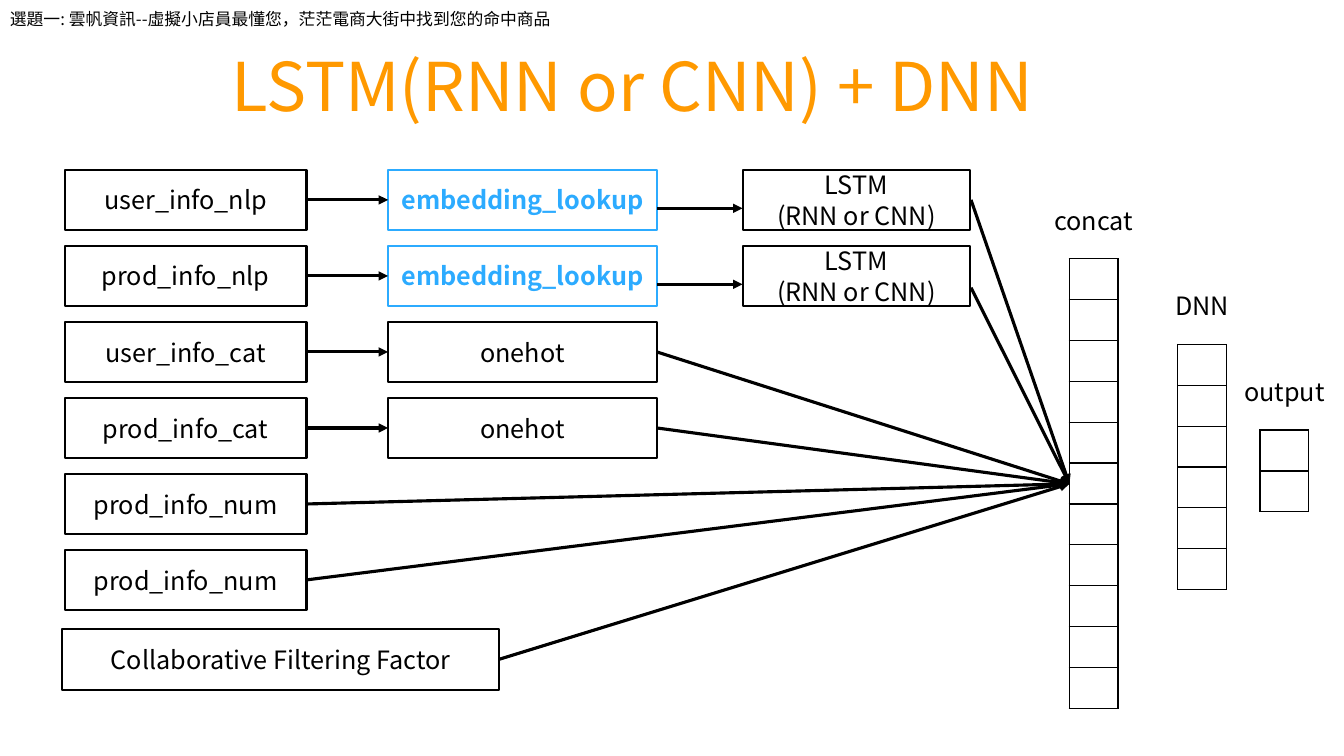
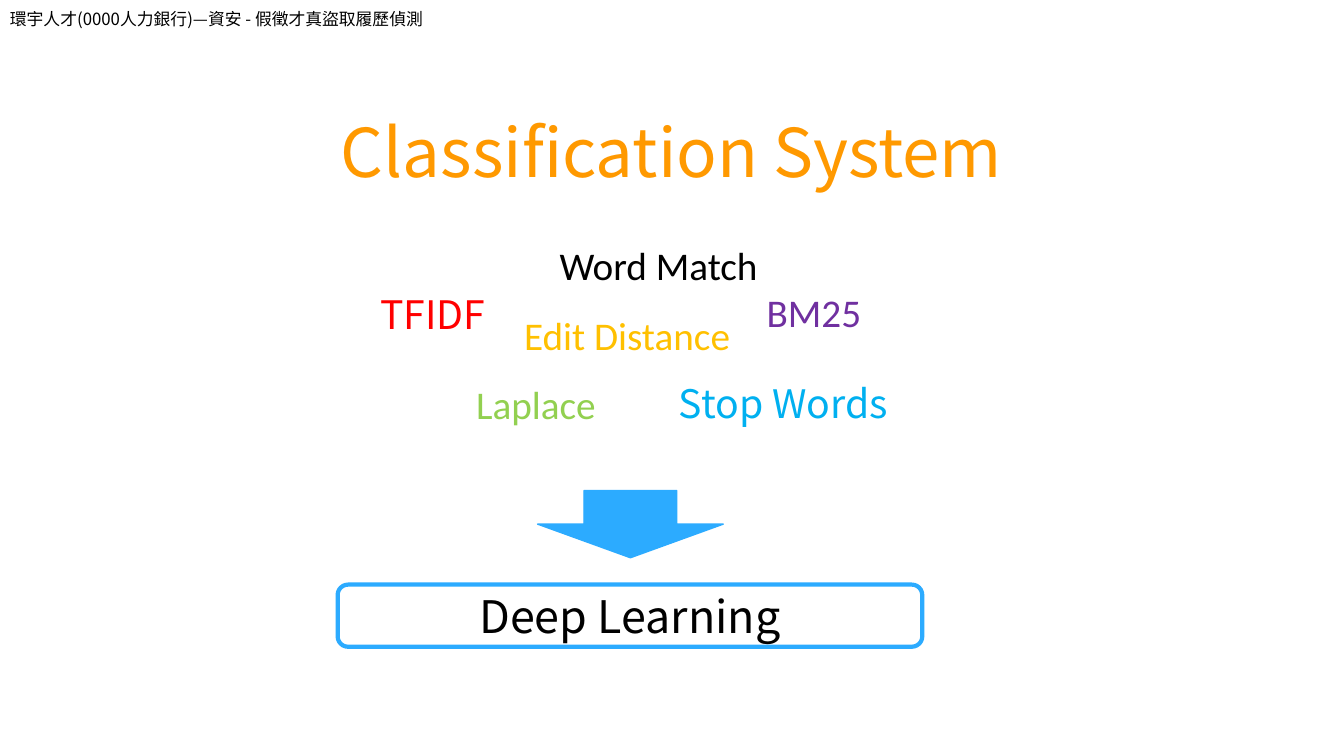
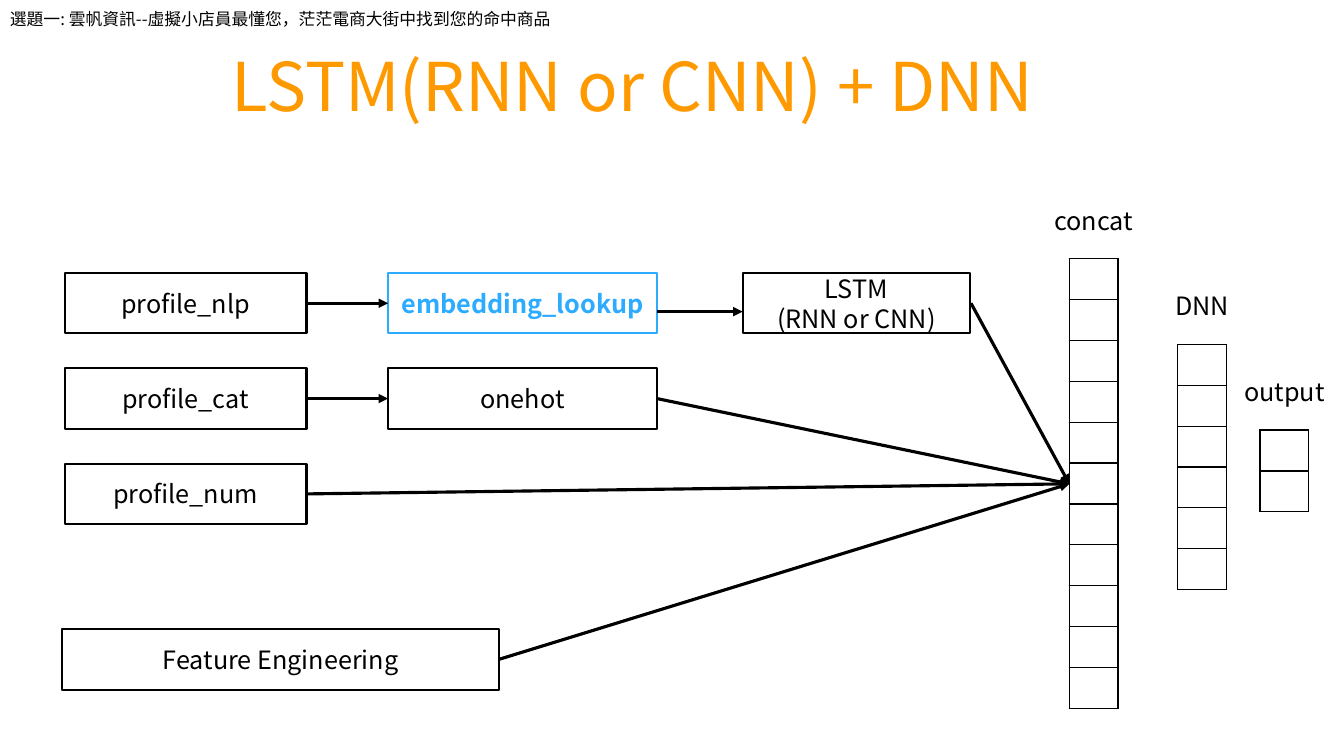
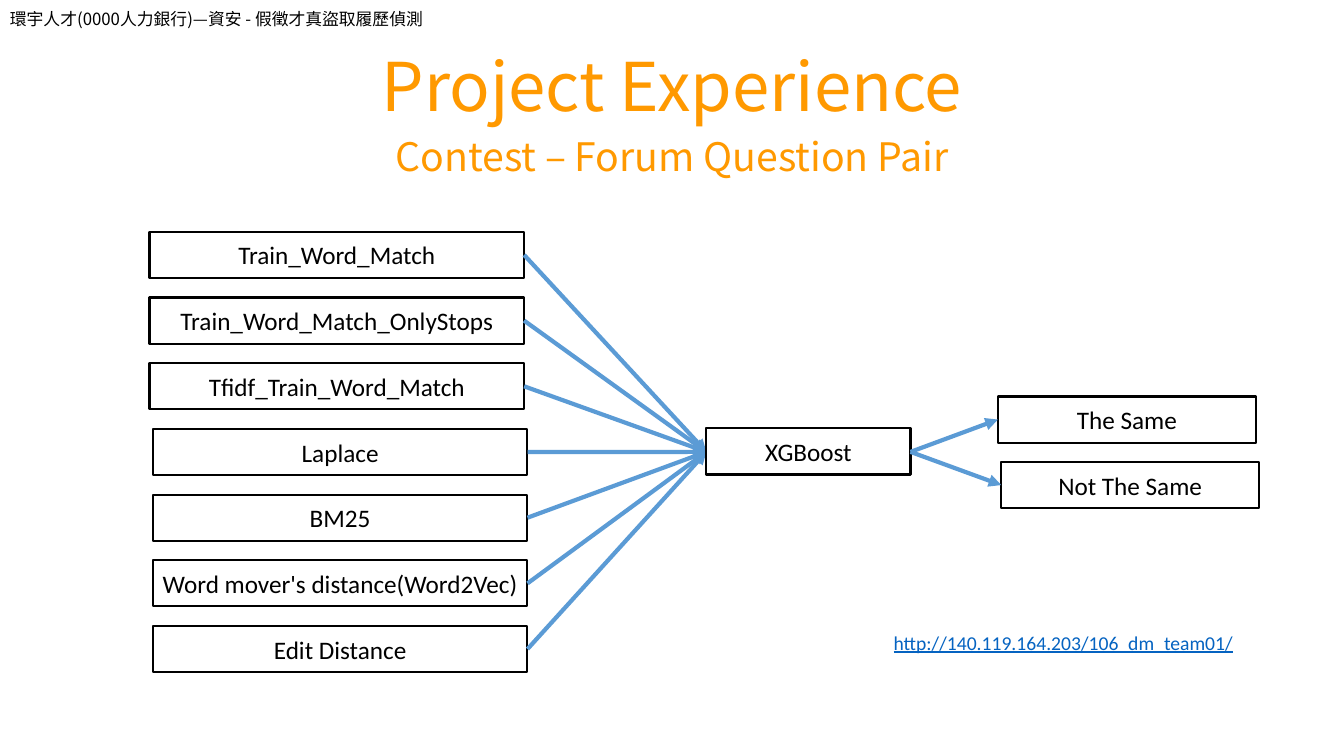
"""Build four slides on text models, laid out on a grid of 160 columns by 90 rows."""
from lxml import etree
from pptx import Presentation
from pptx.dml.color import RGBColor
from pptx.enum.shapes import MSO_CONNECTOR, MSO_SHAPE
from pptx.enum.text import MSO_ANCHOR, PP_ALIGN
from pptx.oxml.ns import qn
from pptx.util import Inches, Pt

RECT, ROUND, DOWN = MSO_SHAPE.RECTANGLE, MSO_SHAPE.ROUNDED_RECTANGLE, MSO_SHAPE.DOWN_ARROW
LINE = MSO_CONNECTOR.STRAIGHT
LEFT, MID = PP_ALIGN.LEFT, PP_ALIGN.CENTER
TOP, CORE = MSO_ANCHOR.TOP, MSO_ANCHOR.MIDDLE
SANS, CALI = "Noto Sans CJK SC", "Calibri"

HUES = {
    "ink": "000000", "gold": "FF9900", "sky": "2CABFF", "steel": "5B9BD5",
    "red": "FF0000", "lime": "92D050", "aqua": "00B0F0", "plum": "7030A0",
    "amber": "FFC000", "link": "0563C1",
}
INK = {name: RGBColor.from_string(code) for name, code in HUES.items()}

deck = Presentation()
deck.slide_width, deck.slide_height = Inches(13.33), Inches(7.5)
COL, ROW = deck.slide_width / 160, deck.slide_height / 90

FLUSH = {"word_wrap": True, "vertical_anchor": CORE, "margin_left": 0, "margin_right": 0}
INSET = {"word_wrap": True, "vertical_anchor": CORE}
HIGH = {"word_wrap": True, "vertical_anchor": TOP}
BIG = {"size": Pt(48), "name": SANS}
LOOKS = {
    "head": (HIGH, {"alignment": LEFT}, {"size": Pt(12), "name": SANS}),
    "title": (INSET, {"alignment": LEFT, "line_spacing": 0.9}, BIG),
    "mid": (INSET, {"alignment": MID, "line_spacing": 0.9}, BIG),
    "sub": (INSET, {"alignment": MID, "line_spacing": 0.9}, {"size": Pt(28), "name": SANS}),
    "high": (HIGH, {"alignment": LEFT}, BIG),
    "node": (FLUSH, {"alignment": MID}, {"size": Pt(18), "name": SANS}),
    "bold": (FLUSH, {"alignment": MID}, {"size": Pt(18), "name": SANS, "bold": True}),
    "item": (FLUSH, {"alignment": MID}, {"size": Pt(18), "name": CALI}),
    "word": (FLUSH, {"alignment": MID}, {"size": Pt(28), "name": CALI}),
    "term": (FLUSH, {"alignment": MID}, {"size": Pt(28), "name": SANS}),
    "goal": (FLUSH, {"alignment": MID}, {"size": Pt(32), "name": SANS}),
    "url": (HIGH, {"alignment": LEFT}, {"size": Pt(14), "name": CALI, "underline": True}),
}


def box(page, kind, at, text, look, hue="ink", edge=None, wide=1.5, fill=None):
    """Add a shape, or a text box when kind is None, with styled text."""
    x, y, w, h = at
    area = int(x * COL), int(y * ROW), int(w * COL), int(h * ROW)
    part = page.shapes.add_textbox(*area) if kind is None else page.shapes.add_shape(kind, *area)
    part.shadow.inherit = False
    part.fill.background()
    part.line.fill.background()
    if fill:
        part.fill.solid()
        part.fill.fore_color.rgb = INK[fill]
    if edge:
        part.line.color.rgb = INK[edge]
        part.line.width = Pt(wide)
    frame = part.text_frame
    frame.text = text
    body, para, font = LOOKS[look]
    pairs = [(frame, body)]
    for line in frame.paragraphs:
        pairs.append((line, para))
        pairs += [(run.font, font) for run in line.runs]
    for goal, form in pairs:
        for key, value in form.items():
            setattr(goal, key, value)
    for line in frame.paragraphs:
        for run in line.runs:
            run.font.color.rgb = INK[hue]
            props = run.font.fill and run._r.get_or_add_rPr()
            etree.SubElement(props, qn("a:ea"), typeface=font["name"])


def link(page, start, end, hue="ink", wide=2.25):
    """Draw an arrow between two grid points."""
    (x, y), (u, v) = start, end
    arrow = page.shapes.add_connector(LINE, int(x * COL), int(y * ROW), int(u * COL), int(v * ROW))
    arrow.line.color.rgb = INK[hue]
    arrow.line.width = Pt(wide)
    etree.SubElement(arrow.get_or_add_ln(), qn("a:tailEnd"), type="triangle")
    etree.SubElement(arrow.element.spPr, qn("a:effectLst"))


SHOP = "選題一: 雲帆資訊--虛擬小店員最懂您，茫茫電商大街中找到您的命中商品"
JOBS = "環宇人才(0000人力銀行)—資安 - 假徵才真盜取履歷偵測"
pages = []
for head in (SHOP, JOBS, SHOP, JOBS):
    page = deck.slides.add_slide(deck.slide_layouts[6])
    box(page, None, (0, 0.5, 70.2, 3.6), head, "head")
    pages.append(page)

HIGHT = 7.2
HUB = 127.3, 57.6
CELL_W, CELL_H, LABEL_W = 5.8, 4.87, 15.7
STACKS = [("concat", 127.3, 30.8, 11), ("DNN", 140.2, 41, 6), ("output", 150, 51.2, 2)]
FLOWS = [
    (pages[0], 20.2, 9.05, "Collaborative Filtering Factor", [
        ("user_info_nlp", "nlp", 0), ("prod_info_nlp", "nlp", 1.4),
        ("user_info_cat", "cat", 0), ("prod_info_cat", "cat", 0),
        ("prod_info_num", "num", 0), ("prod_info_num", "num", 0)]),
    (pages[2], 32.5, 11.35, "Feature Engineering", [
        ("profile_nlp", "nlp", 0), ("profile_cat", "cat", 0), ("profile_num", "num", 0)]),
]
for page, top, step, extra, rows in FLOWS:
    box(page, None, (26.4, 7, 107.2, 7.4), "LSTM(RNN or CNN) + DNN", "title", "gold")
    for label, x, y, count in STACKS:
        spot = x + (CELL_W - LABEL_W) / 2, y - 6.6, LABEL_W, 4
        box(page, None, spot, label, "node")
        area = int(x * COL), int(y * ROW), int(CELL_W * COL), int(count * CELL_H * ROW)
        table = page.shapes.add_table(count, 1, *area).table
        table.first_row = table.horz_banding = False
        for cell in table.iter_cells():
            cell.margin_top = cell.margin_bottom = 0
            props = cell._tc.get_or_add_tcPr()
            for side in ("lnL", "lnR", "lnT", "lnB"):
                rule = etree.SubElement(props, qn("a:" + side), w=str(Pt(1)))
                paint = etree.SubElement(rule, qn("a:solidFill"))
                etree.SubElement(paint, qn("a:srgbClr"), val=HUES["ink"])
            cell.fill.background()
    for i, (name, kind, drop) in enumerate(rows):
        y = top + i * step
        mid = y + HIGHT / 2
        leave = 36.4
        box(page, RECT, (7.7, y, 28.8, HIGHT), name, "node", edge="ink")
        if kind != "num":
            text, look, hue = {"nlp": ("embedding_lookup", "bold", "sky"),
                               "cat": ("onehot", "node", "ink")}[kind]
            box(page, RECT, (46.2, y, 32, HIGHT), text, look, hue, hue)
            link(page, (leave, mid), (46.2, mid))
            leave = 78.2
        if kind == "nlp":
            box(page, RECT, (88.4, y, 27.1, HIGHT), "LSTM\n(RNN or CNN)", "node", edge="ink")
            link(page, (leave, mid + 1), (88.4, mid + 1))
            leave = 115.6
        link(page, (leave, mid + drop), HUB)
    box(page, RECT, (7.4, 74.9, 52, HIGHT), extra, "node", edge="ink")
    link(page, (59.4, 78.5), HUB)

page = pages[1]
box(page, None, (39.4, 12.6, 86, 10.9), "Classification System", "high", "gold")
WORDS = [
    ("TFIDF", 43.2, 33.7, 16.7, "term", "red"),
    ("Laplace", 54.1, 44.4, 19.4, "word", "lime"),
    ("Stop Words", 78.2, 44.2, 30.1, "term", "aqua"),
    ("Word Match", 63.8, 27.8, 29.2, "word", "ink"),
    ("BM25", 88.2, 33.4, 17.4, "word", "plum"),
    ("Edit Distance", 59.6, 36.2, 30.1, "word", "amber"),
]
for text, x, y, w, look, hue in WORDS:
    box(page, ROUND, (x, y, w, 7.4), text, look, hue)
box(page, DOWN, (64, 58.4, 22.1, 8), "", "node", edge="sky", wide=1, fill="sky")
box(page, ROUND, (40.2, 69.6, 69.6, 7.4), "Deep Learning", "goal", edge="sky", wide=3)

page = pages[3]
box(page, None, (26.4, 7, 107.2, 7.4), "Project Experience", "mid", "gold")
box(page, None, (26.4, 15.2, 107.2, 7.4), "Contest – Forum Question Pair", "sub", "gold")
box(page, None, (105.2, 74.5, 44.4, 4.1), "http://140.119.164.203/106_dm_team01/", "url", "link")
TALL, CORE_Y = 5.5, 53.8
PARTS = ["Train_Word_Match", "Train_Word_Match_OnlyStops", "Tfidf_Train_Word_Match", "Laplace",
         "BM25", "Word mover's distance(Word2Vec)", "Edit Distance"]
for i, name in enumerate(PARTS):
    x, y = 17.8 if i < 3 else 18.2, 27.6 + i * 7.82
    box(page, RECT, (x, y, 44.6, TALL), name, "item", edge="ink")
    link(page, (x + 44.6, y + TALL / 2), (84.1, CORE_Y), "steel", 3)
box(page, RECT, (84.1, 51, 24.3, TALL), "XGBoost", "item", edge="ink")
for name, x, y in (("The Same", 118.8, 47.2), ("Not The Same", 119.2, 55)):
    box(page, RECT, (x, y, 30.7, TALL), name, "item", edge="ink")
    link(page, (108.4, CORE_Y), (x, y + TALL / 2), "steel", 3)

deck.save("out.pptx")
